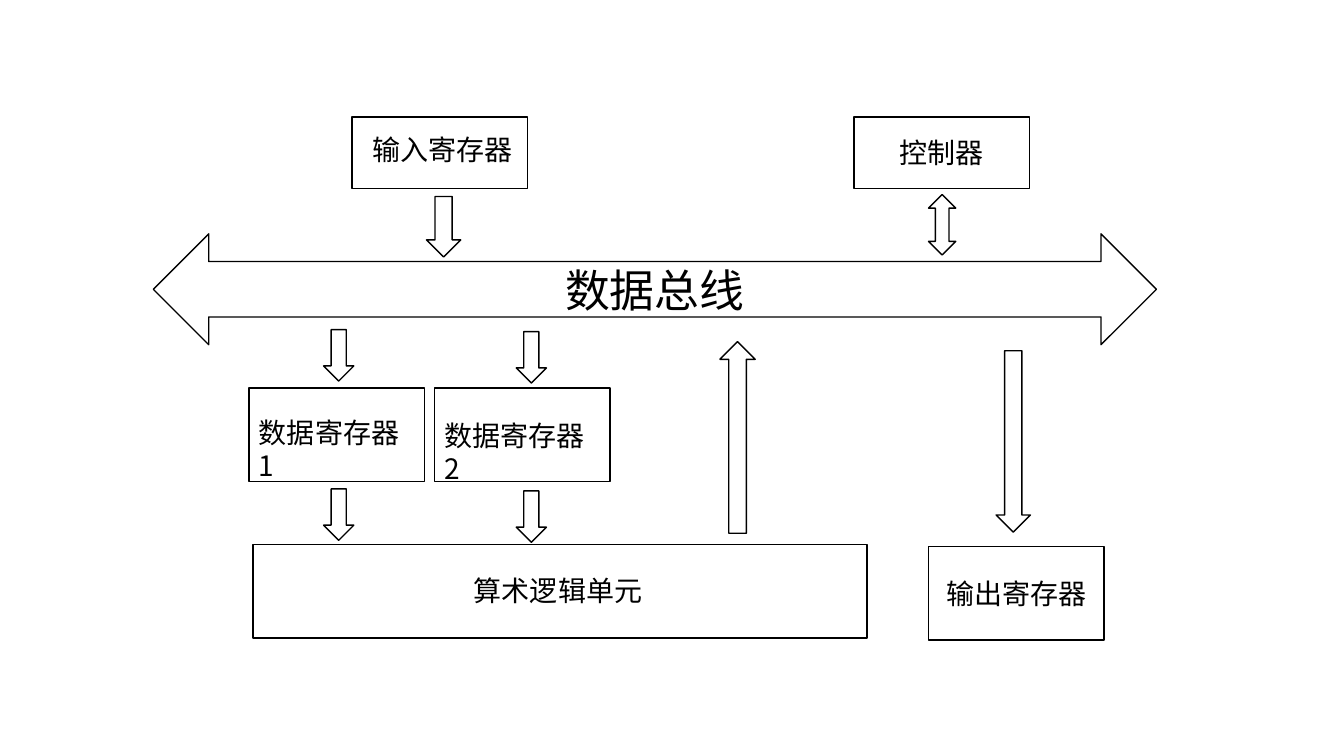
from lxml import etree
from pptx import Presentation
from pptx import util as u
from pptx.dml.color import RGBColor
from pptx.enum import shapes, text
from pptx.oxml.ns import qn

SHAPE = shapes.MSO_SHAPE
ALIGN = text.PP_ALIGN


def color(hex_code):
    """Turn a hex string into a colour."""
    return RGBColor.from_string(hex_code)


class Diagram:
    """Holds the style and the slide being drawn."""

    font = "Noto Sans CJK SC"
    ink = "000000"
    line_width = 1
    label_size = 20
    label_height = 0.44

    def __init__(self, slide):
        """Draw on the given slide."""
        self.s = slide

    def add_words(self, tf, words, size, align):
        """Put one styled run in a text frame."""
        tf.word_wrap = True
        p = tf.paragraphs[0]
        p.alignment = align
        r = p.add_run()
        r.text = words
        r.font.size = u.Pt(size)
        r.font.name = self.font
        r.font.color.rgb = color(self.ink)
        ea = etree.SubElement(r.font._element, qn("a:ea"))
        ea.set("typeface", self.font)

    def outline(self, kind, left, top, width, height):
        """Add an unfilled preset shape with a thin line."""
        sp = self.s.shapes.add_shape(kind, *map(u.Inches, (left, top, width, height)))
        sp.shadow.inherit = False
        sp.fill.background()
        sp.line.color.rgb = color(self.ink)
        sp.line.width = u.Pt(self.line_width)
        return sp

    def bus(self, words, left, top, width, height):
        """Add the wide double arrow with its name inside."""
        sp = self.outline(SHAPE.LEFT_RIGHT_ARROW, left, top, width, height)
        sp.text_frame.vertical_anchor = text.MSO_ANCHOR.MIDDLE
        self.add_words(sp.text_frame, words, 32, ALIGN.CENTER)

    def label(self, words, left, top, width, align):
        """Add a text box naming a unit."""
        place = map(u.Inches, (left, top, width, self.label_height))
        tf = self.s.shapes.add_textbox(*place).text_frame
        self.add_words(tf, words, self.label_size, align)
        tf.auto_size = text.MSO_AUTO_SIZE.SHAPE_TO_FIT_TEXT

    def unit(self, words, box, label, align=ALIGN.CENTER):
        """Add a box and its label (left, top, width)."""
        self.outline(SHAPE.RECTANGLE, *box)
        self.label(words, *label, align)


prs = Presentation()
prs.slide_width, prs.slide_height = u.Inches(13.33), u.Inches(7.5)
d = Diagram(prs.slides.add_slide(prs.slide_layouts[6]))

UNIT_W, TOP_H, LOW_H = 1.74, 0.71, 0.93

d.bus("数据总线", 1.52, 2.32, 9.95, 1.1)

d.unit("输入寄存器", (3.49, 1.16, UNIT_W, TOP_H), (3.52, 1.27, UNIT_W))
d.unit("控制器", (8.47, 1.16, UNIT_W, TOP_H), (8.82, 1.3, 1.05), ALIGN.LEFT)
for number, left, label_top in ((1, 2.47, 4.07), (2, 4.31, 4.1)):
    d.unit(f"数据寄存器{number}", (left, 3.85, UNIT_W, LOW_H),
           (left, label_top, UNIT_W), ALIGN.LEFT)
d.unit("算术逻辑单元", (2.51, 5.4, 6.09, LOW_H), (2.46, 5.64, 6.15))
d.unit("输出寄存器", (9.21, 5.42, UNIT_W, LOW_H), (9.21, 5.67, UNIT_W))

# Data flow into and out of each data register
for left, first_top in ((3.21, 3.27), (5.12, 3.29)):
    for step in range(2):
        d.outline(SHAPE.DOWN_ARROW, left, first_top + step * 1.58, 0.3, 0.51)

# Data flow between the bus and the other units
for kind, *place in (
    (SHAPE.DOWN_ARROW, 4.23, 1.95, 0.34, 0.6),
    (SHAPE.UP_DOWN_ARROW, 9.21, 1.93, 0.27, 0.6),
    (SHAPE.UP_ARROW, 7.14, 3.39, 0.35, 1.9),
    (SHAPE.DOWN_ARROW, 9.88, 3.48, 0.34, 1.8),
):
    d.outline(kind, *place)

prs.save("out.pptx")
